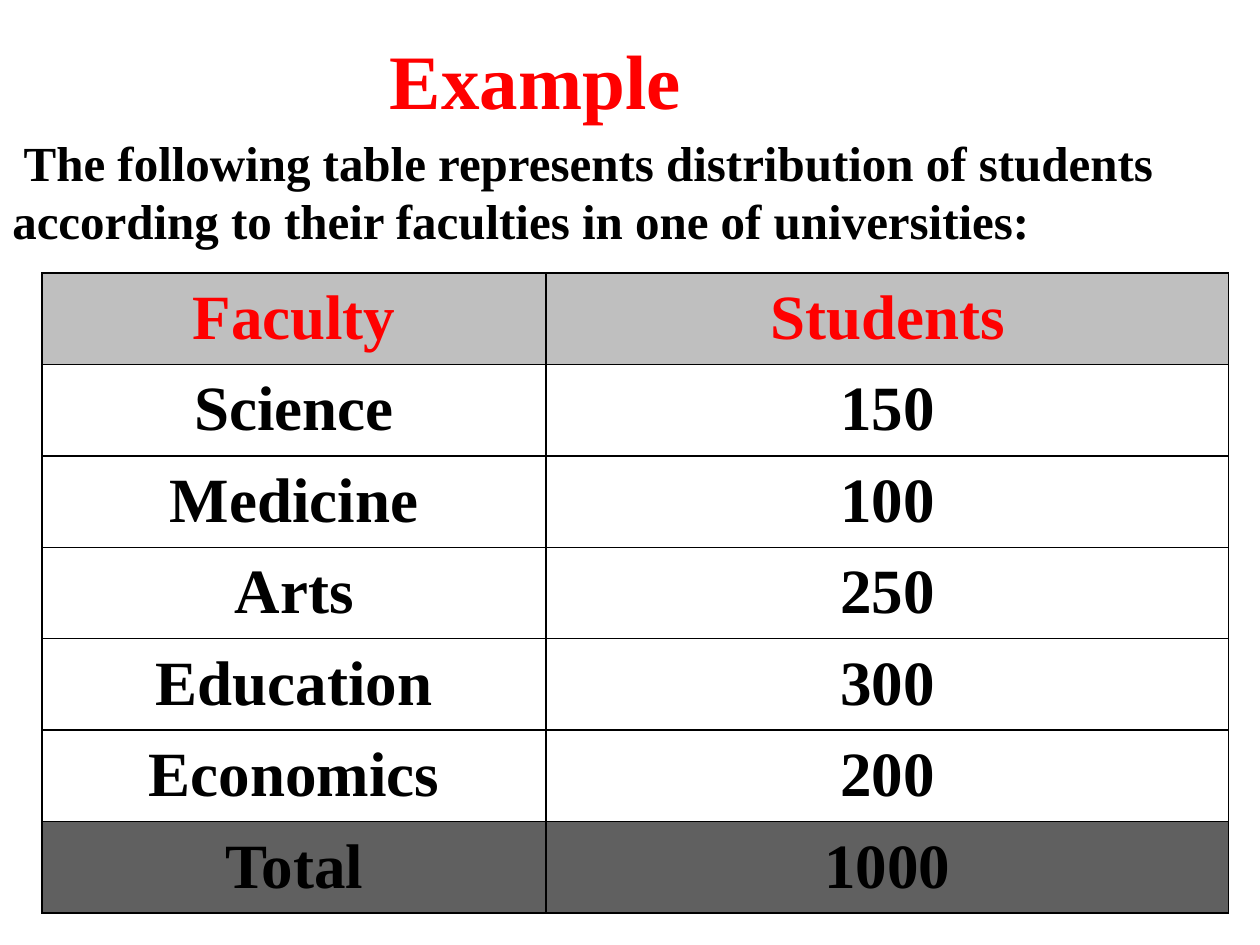
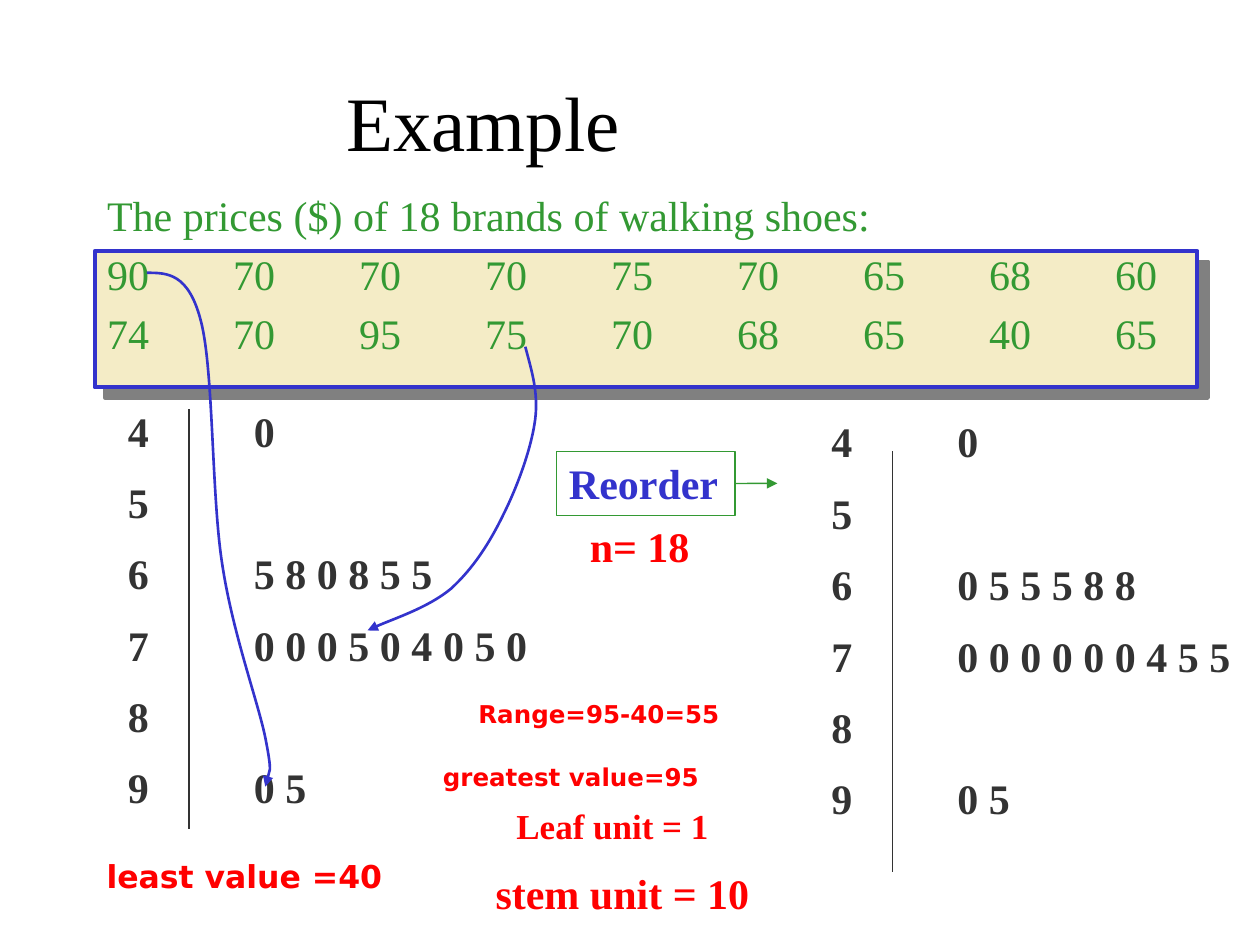
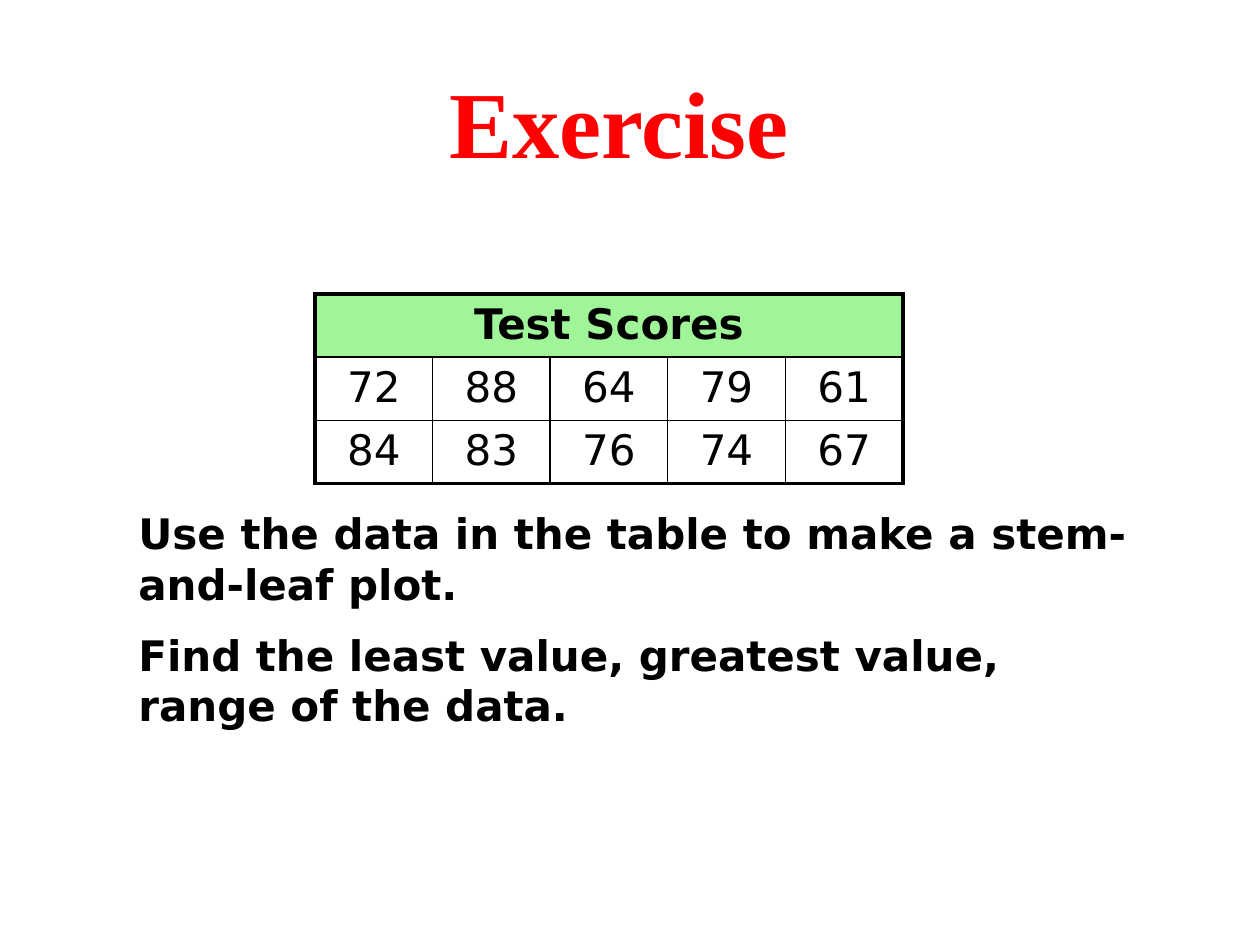
import pptx
import pptx.dml.color
import pptx.enum.shapes
import pptx.enum.text
import pptx.oxml.ns
import pptx.util
from lxml import etree
from pptx.util import Cm, Pt

RED = pptx.dml.color.RGBColor(0xFF, 0x00, 0x00)
BLACK = pptx.dml.color.RGBColor(0x00, 0x00, 0x00)
GREEN = pptx.dml.color.RGBColor(0x33, 0x99, 0x33)
BLUE = pptx.dml.color.RGBColor(0x33, 0x33, 0xCC)
CHARCOAL = pptx.dml.color.RGBColor(0x33, 0x33, 0x33)
CREAM = pptx.dml.color.RGBColor(0xF4, 0xEC, 0xC6)
SHADOW_GRAY = pptx.dml.color.RGBColor(0x80, 0x80, 0x80)
HEADER_GRAY = pptx.dml.color.RGBColor(0xBF, 0xBF, 0xBF)
TOTAL_GRAY = pptx.dml.color.RGBColor(0x60, 0x60, 0x60)
HEADER_GREEN = pptx.dml.color.RGBColor(0xA0, 0xF5, 0x99)

SERIF = "Times New Roman"
SANS = "DejaVu Sans"
LEFT = pptx.enum.text.PP_ALIGN.LEFT
CENTER = pptx.enum.text.PP_ALIGN.CENTER
MIDDLE = pptx.enum.text.MSO_ANCHOR.MIDDLE
RECTANGLE = pptx.enum.shapes.MSO_SHAPE.RECTANGLE
STRAIGHT = pptx.enum.shapes.MSO_CONNECTOR.STRAIGHT
TAB_STEP = 2.54
qn = pptx.oxml.ns.qn


def to_lengths(box):
    """Turn a box in centimetres into lengths."""
    return [Cm(value) for value in box]


def set_tabs(paragraph, count):
    """Give a paragraph evenly spaced left tab stops."""
    properties = paragraph._p.get_or_add_pPr()
    tabs = etree.SubElement(properties, qn("a:tabLst"))
    for number in range(1, count + 1):
        etree.SubElement(tabs, qn("a:tab"), pos=str(Cm(TAB_STEP * number)), algn="l")
    default_run = properties.find(qn("a:defRPr"))
    if default_run is not None:
        default_run.addprevious(tabs)


def write_text(frame, lines, size, color, bold=True, font=SERIF, align=LEFT, gap=0, line_spacing=None):
    """Write one paragraph per line, with a gap between paragraphs."""
    frame.text = "\n".join(lines)
    for index, (paragraph, line) in enumerate(zip(frame.paragraphs, lines)):
        paragraph.alignment = align
        paragraph.space_before = Pt(gap if index else 0)
        paragraph.line_spacing = line_spacing
        paragraph.font.name = font
        paragraph.font.size = Pt(size)
        paragraph.font.bold = bold
        paragraph.font.color.rgb = color
        if "\t" in line:
            set_tabs(paragraph, line.count("\t"))


def add_text(slide, box, lines, size, color, wrap=True, anchor=None, **style):
    """Add a text box."""
    frame = slide.shapes.add_textbox(*to_lengths(box)).text_frame
    frame.word_wrap = wrap
    frame.vertical_anchor = anchor
    write_text(frame, lines, size, color, **style)


def add_title(slide, box, text, size=44, color=RED, bold=True):
    """Add a centred slide title."""
    add_text(slide, box, [text], size, color, bold=bold, anchor=MIDDLE, align=CENTER)


def style_line(shape, color, width, arrow=False):
    """Colour an outline and give it an arrowhead if wanted."""
    shape.line.color.rgb = color
    shape.line.width = Pt(width)
    if arrow:
        line = shape.line._get_or_add_ln()
        etree.SubElement(line, qn("a:tailEnd"), type="triangle")


def add_line(slide, start, end, color, arrow=False):
    """Add a thin straight connector without a shadow."""
    connector = slide.shapes.add_connector(STRAIGHT, *to_lengths(start + end))
    style_line(connector, color, 0.75, arrow)
    etree.SubElement(connector._element.spPr, qn("a:effectLst"))
    return connector


def add_rectangle(slide, box, line_color, line_width, fill=None):
    """Add an outlined rectangle."""
    shape = slide.shapes.add_shape(RECTANGLE, *to_lengths(box))
    shape.shadow.inherit = False
    if fill is None:
        shape.fill.background()
    else:
        shape.fill.solid()
        shape.fill.fore_color.rgb = fill
    style_line(shape, line_color, line_width)
    return shape


def add_curved_arrow(slide, origin, points):
    """Add an arrow of cubic curves whose points are relative to the origin."""
    left, top = origin
    start, *others = [(Cm(left + x), Cm(top + y)) for x, y in points]
    builder = slide.shapes.build_freeform(*start)
    builder.add_line_segments(others, close=False)
    shape = builder.convert_to_shape()
    outline = shape._element.find(".//" + qn("a:path"))
    segments = outline.findall(qn("a:lnTo"))
    for first in range(0, len(segments), 3):
        curve = etree.SubElement(outline, qn("a:cubicBezTo"))
        for segment in segments[first:first + 3]:
            curve.append(segment[0])
            outline.remove(segment)
    shape.shadow.inherit = False
    shape.fill.background()
    style_line(shape, BLUE, 1.5, arrow=True)


def set_borders(cell, widths):
    """Draw the left, right, top and bottom borders of a cell."""
    properties = cell._tc.get_or_add_tcPr()
    for index, (side, width) in enumerate(zip("LRTB", widths)):
        border = etree.Element(qn("a:ln" + side), w=str(Pt(width)))
        fill = etree.SubElement(border, qn("a:solidFill"))
        etree.SubElement(fill, qn("a:srgbClr"), val=str(BLACK))
        properties.insert(index, border)


def add_grid(slide, box, rows, column_widths, edge=1):
    """Add a bordered table without fills and return it."""
    table = slide.shapes.add_table(len(rows), len(column_widths), *to_lengths(box)).table
    table.first_row = table.horz_banding = False
    for column, width in zip(table.columns, column_widths):
        column.width = Cm(width)
    for row in table.rows:
        row.height = Cm(box[3] / len(rows))
    if len(rows[0]) == 1:
        table.cell(0, 0).merge(table.cell(0, len(column_widths) - 1))
    for row in range(len(rows)):
        for column in range(len(column_widths)):
            cell = table.cell(row, column)
            cell.fill.background()
            is_edge = (column == 0, column + cell.span_width == len(column_widths),
                       row == 0, row == len(rows) - 1)
            set_borders(cell, [edge if outer else 1 for outer in is_edge])
    return table


def fill_cell(cell, fill):
    """Fill a cell with one colour."""
    cell.fill.solid()
    cell.fill.fore_color.rgb = fill


def add_faculty_table(slide, box):
    """Add the table of students by faculty."""
    counts = {"Science": 150, "Medicine": 100, "Arts": 250, "Education": 300, "Economics": 200}
    rows = [("Faculty", "Students"), *counts.items(), ("Total", sum(counts.values()))]
    table = add_grid(slide, box, rows, [10.16, box[2] - 10.16])
    fills = {0: HEADER_GRAY, len(rows) - 1: TOTAL_GRAY}
    for row, values in enumerate(rows):
        for column, value in enumerate(values):
            cell = table.cell(row, column)
            cell.margin_left = cell.margin_right = Cm(0.18)
            cell.margin_top = cell.margin_bottom = 0
            write_text(cell.text_frame, [str(value)], 36, BLACK if row else RED,
                       align=CENTER, line_spacing=1.15)
            if row in fills:
                fill_cell(cell, fills[row])


def add_score_table(slide, box):
    """Add the table of test scores."""
    rows = [["Test Scores"], [72, 88, 64, 79, 61], [84, 83, 76, 74, 67]]
    table = add_grid(slide, box, rows, [box[2] / 5] * 5, edge=2.25)
    for row, values in enumerate(rows):
        for column, value in enumerate(values):
            write_text(table.cell(row, column).text_frame, [str(value)], 24, BLACK,
                       bold=row == 0, font=SANS, align=CENTER)
    fill_cell(table.cell(0, 0), HEADER_GREEN)


def add_price_panel(slide, box):
    """Add the shadowed panel behind the prices."""
    panel = add_rectangle(slide, box, BLUE, 2.25, CREAM)
    effects = panel._element.spPr.find(qn("a:effectLst"))
    shadow = etree.SubElement(effects, qn("a:outerShdw"), blurRad="0", dist=str(Pt(8.5)),
                              dir=str(45 * 60000), algn="tl", rotWithShape="0")
    etree.SubElement(shadow, qn("a:srgbClr"), val=str(SHADOW_GRAY))


def add_prices(slide, box):
    """Add the heading and the two rows of prices."""
    prices = [[90, 70, 70, 70, 75, 70, 65, 68, 60], [74, 70, 95, 75, 70, 68, 65, 40, 65]]
    lines = ["The prices ($) of 18 brands of walking shoes:"]
    lines += ["\t".join(map(str, row)) for row in prices]
    add_text(slide, box, lines, 24, GREEN, bold=False, gap=4.8)


def add_stem_plot(slide, box, leaves, line_drop):
    """Add stems 4 to 9 with their leaves and the dividing line."""
    left, top = box[:2]
    lines = [f"{stem}\t{row}" if row else str(stem) for stem, row in enumerate(leaves, 4)]
    add_text(slide, box, lines, 24, CHARCOAL, gap=12)
    x, y = left + 1.48, top + line_drop
    add_line(slide, (x, y), (x, y + 8.47), CHARCOAL)


def add_reorder_step(slide, box):
    """Add the Reorder box and its arrow to the sorted plot."""
    left, top, width, height = box
    shape = add_rectangle(slide, box, GREEN, 0.75)
    shape.text_frame.word_wrap = True
    shape.text_frame.vertical_anchor = pptx.enum.text.MSO_ANCHOR.TOP
    write_text(shape.text_frame, ["Reorder"], 24, BLUE)
    right, middle = left + width, top + height / 2
    arrow = add_line(slide, (right, middle), (right + 0.85, middle), GREEN, arrow=True)
    arrow.begin_connect(shape, 3)


def add_notes_on_plot(slide):
    """Add the red remarks around the plots."""
    remarks = [
        ((10.16, 16.09, 4.42, 1.12), "Leaf unit = 1", 20, SERIF, LEFT),
        ((9.74, 17.36, 5.69, 1.27), "stem unit = 10", 24, SERIF, LEFT),
        ((11.64, 10.37, 2.54, 1.27), "n= 18", 24, SERIF, LEFT),
        ((1.9, 17.15, 6.12, 1.02), "least value =40", 18, SANS, LEFT),
        ((8.68, 15.24, 5.69, 0.86), "greatest value=95", 14, SANS, LEFT),
        ((9.32, 13.97, 5.51, 0.86), "Range=95-40=55", 14, SANS, CENTER),
    ]
    for box, text, size, font, align in remarks:
        add_text(slide, box, [text], size, RED, wrap=False, font=font, align=align)


def build_faculty_slide(slide):
    """Build the slide on students by faculty."""
    add_text(slide, (0, 2.54, 25.4, 2.64),
             [" The following table represents distribution of students "
              "according to their faculties in one of universities:"], 28, BLACK)
    add_title(slide, (0, 0, 21.59, 3.18), "Example")
    add_faculty_table(slide, (0.85, 5.5, 23.92, 12.91))


def build_prices_slide(slide):
    """Build the slide with the stem-and-leaf plots of prices."""
    add_price_panel(slide, (1.91, 5.06, 22.23, 2.75))
    add_title(slide, (3.6, 0.85, 12.28, 3.18), "Example", color=BLACK, bold=False)
    add_prices(slide, (1.91, 3.7, 22.02, 3.7))
    add_stem_plot(slide, (2.33, 8.04, 8.68, 8.86),
                  ["0", "", "5 8 0 8 5 5", "0 0 0 5 0 4 0 5 0", "", "0 5"], 0.21)
    add_stem_plot(slide, (16.51, 8.26, 8.89, 8.86),
                  ["0", "", "0 5 5 5 8 8", "0 0 0 0 0 0 4 5 5", "", "0 5"], 0.84)
    add_reorder_step(slide, (11.22, 9.1, 3.6, 1.29))
    add_curved_arrow(slide, (2.96, 5.5), [
        (0, 0), (0.41, 0), (0.84, 0), (1.09, 0.97),
        (1.35, 1.96), (1.3, 4.47), (1.52, 5.87),
        (1.73, 7.26), (2.24, 8.64), (2.39, 9.37),
        (2.54, 10.13), (2.41, 10.21), (2.39, 10.36)])
    add_curved_arrow(slide, (7.41, 6.99), [
        (3.18, 0), (3.3, 0.46), (3.45, 0.91), (3.38, 1.47),
        (3.3, 2.06), (3.02, 2.82), (2.74, 3.38),
        (2.46, 3.96), (2.13, 4.47), (1.68, 4.88),
        (1.22, 5.26), (0.3, 5.56), (0, 5.72)])
    add_notes_on_plot(slide)


def build_exercise_slide(slide):
    """Build the exercise slide."""
    add_title(slide, (1.69, 0.85, 21.59, 3.18), "Exercise", size=54)
    add_text(slide, (2.54, 10.11, 20.75, 5),
             ["Use the data in the table to make a stem-and-leaf plot.",
              "Find the least value, greatest value, range of the data."],
             24, BLACK, font=SANS, gap=12)
    add_score_table(slide, (6.35, 5.93, 11.85, 3.81))


def main():
    """Build and save the presentation."""
    presentation = pptx.Presentation()
    presentation.slide_width, presentation.slide_height = Cm(25.4), Cm(19.05)
    for build in (build_faculty_slide, build_prices_slide, build_exercise_slide):
        build(presentation.slides.add_slide(presentation.slide_layouts[6]))
    presentation.save("out.pptx")


if __name__ == "__main__":
    main()
